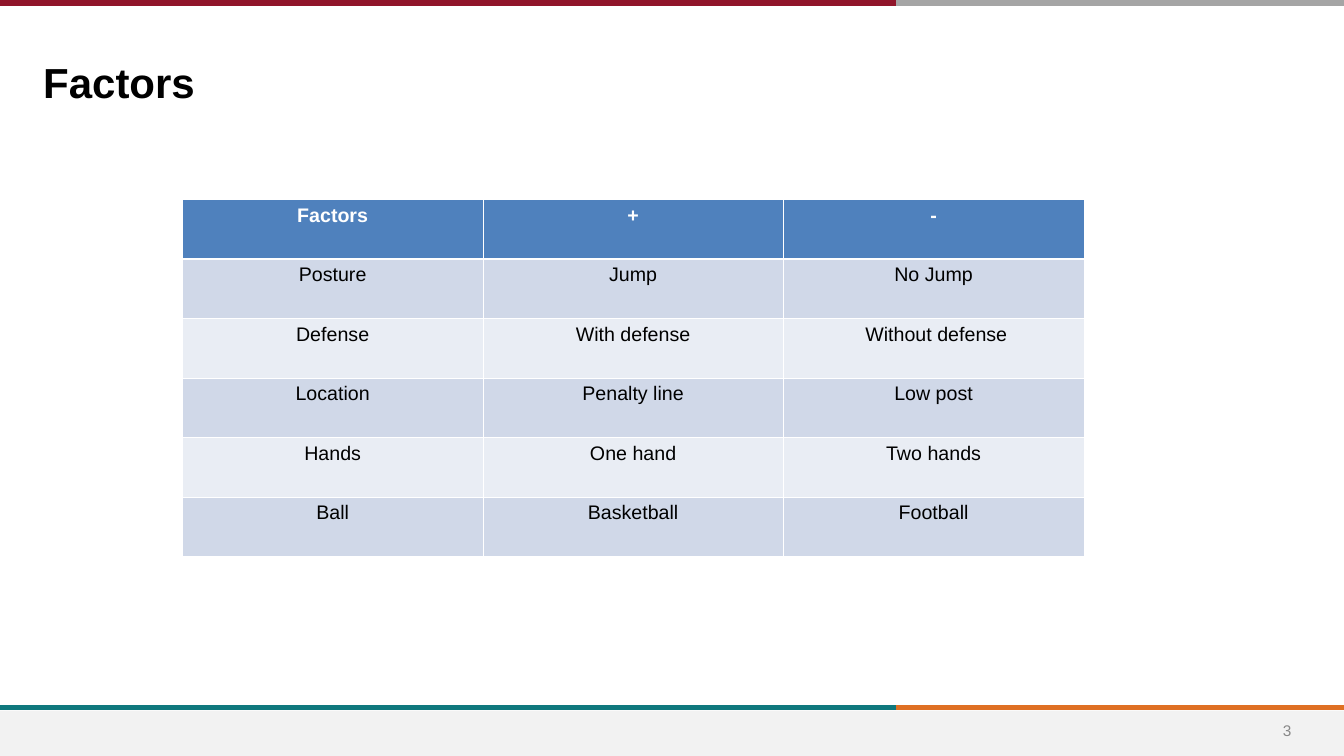
import pptx
import pptx.util
import pptx.dml.color
import pptx.enum.shapes
import pptx.enum.text
import pptx.oxml
import pptx.oxml.ns
from lxml import etree

Inches = pptx.util.Inches
Pt = pptx.util.Pt
RGBColor = pptx.dml.color.RGBColor
Align = pptx.enum.text.PP_ALIGN
Anchor = pptx.enum.text.MSO_ANCHOR
qn = pptx.oxml.ns.qn

WHITE = RGBColor(0xFF, 0xFF, 0xFF)
BLACK = RGBColor(0x00, 0x00, 0x00)
FOOTER_GRAY = RGBColor(0xF2, 0xF2, 0xF2)
NUMBER_GRAY = RGBColor(0x88, 0x88, 0x88)
RULE_GRAY = RGBColor(0xA5, 0xA5, 0xA5)
CRIMSON = RGBColor(0x90, 0x15, 0x2A)
TEAL = RGBColor(0x0F, 0x78, 0x7D)
ORANGE = RGBColor(0xDF, 0x70, 0x23)
HEADER_BLUE = RGBColor(0x4F, 0x81, 0xBD)
BAND_DARK = RGBColor(0xD0, 0xD8, 0xE8)
BAND_LIGHT = RGBColor(0xE9, 0xED, 0xF4)

WIDTH, HEIGHT, SPLIT = 13.33, 7.5, 8.89
FACTORS = [
    ("Factors", "+", "-"),
    ("Posture", "Jump", "No Jump"),
    ("Defense", "With defense", " Without defense"),
    ("Location", "Penalty line", "Low post"),
    ("Hands", "One hand", "Two hands"),
    ("Ball", "Basketball", "Football"),
]


class SlideBuilder:
    font_name = "Arial"
    thin, thick = 0.45, 1.47

    def __init__(self, slide):
        self.slide = slide

    def fill_text(self, frame, text, size, color, bold=False, align=Align.LEFT):
        frame.text = text
        para = frame.paragraphs[0]
        para.alignment = align
        font = para.runs[0].font
        font.name = self.font_name
        font.size = Pt(size)
        font.bold = bold
        font.color.rgb = color

    def panel(self, left, top, width, height, color):
        shape = self.slide.shapes.add_shape(
            pptx.enum.shapes.MSO_SHAPE.RECTANGLE,
            Inches(left), Inches(top), Inches(width), Inches(height))
        shape.shadow.inherit = False
        shape.fill.solid()
        shape.fill.fore_color.rgb = color
        shape.line.fill.background()

    def rule(self, start, end, y, color):
        line = self.slide.shapes.add_connector(
            pptx.enum.shapes.MSO_CONNECTOR.STRAIGHT,
            Inches(start), Inches(y), Inches(end), Inches(y))
        line.line.color.rgb = color
        line.line.width = Pt(4)
        etree.SubElement(line._element.spPr, qn("a:effectLst"))

    def text(self, left, top, width, height, text, size, color,
             bold=False, align=Align.LEFT, anchor=Anchor.TOP, inset=0.05):
        box = self.slide.shapes.add_textbox(
            Inches(left), Inches(top), Inches(width), Inches(height))
        frame = box.text_frame
        frame.word_wrap = True
        frame.vertical_anchor = anchor
        frame.margin_left = frame.margin_right = Inches(0.1)
        frame.margin_top = frame.margin_bottom = Inches(inset)
        self.fill_text(frame, text, size, color, bold, align)

    def border(self, side, width):
        line = etree.Element(qn("a:" + side), w=str(Pt(width)))
        fill = etree.SubElement(line, qn("a:solidFill"))
        etree.SubElement(fill, qn("a:srgbClr"), val=str(WHITE))
        return line

    def style_cell(self, cell, row):
        cell.fill.solid()
        if row == 0:
            cell.fill.fore_color.rgb = HEADER_BLUE
        else:
            cell.fill.fore_color.rgb = BAND_DARK if row % 2 else BAND_LIGHT
        widths = {
            "lnL": self.thin,
            "lnR": self.thin,
            "lnT": self.thick if row == 1 else self.thin,
            "lnB": self.thick if row == 0 else self.thin,
        }
        properties = cell._tc.get_or_add_tcPr()
        for position, (side, width) in enumerate(widths.items()):
            properties.insert(position, self.border(side, width))

    def table(self, left, top, column_width, row_height, rows):
        columns = len(rows[0])
        table = self.slide.shapes.add_table(
            len(rows), columns, Inches(left), Inches(top),
            Inches(column_width * columns),
            Inches(row_height * len(rows))).table
        for column in table.columns:
            column.width = Inches(column_width)
        for row, values in enumerate(rows):
            table.rows[row].height = Inches(row_height)
            for column, value in enumerate(values):
                cell = table.cell(row, column)
                header = row == 0
                self.fill_text(cell.text_frame, value, 14,
                               WHITE if header else BLACK, header, Align.CENTER)
                self.style_cell(cell, row)


def main():
    deck = pptx.Presentation()
    deck.slide_width = Inches(WIDTH)
    deck.slide_height = Inches(HEIGHT)
    page = SlideBuilder(deck.slides.add_slide(deck.slide_layouts[6]))

    page.panel(0, 7.05, WIDTH, 0.45, FOOTER_GRAY)
    for y, left_color, right_color in ((7.02, TEAL, ORANGE),
                                       (0.03, CRIMSON, RULE_GRAY)):
        page.rule(SPLIT, WIDTH, y, right_color)
        page.rule(0, SPLIT, y, left_color)

    page.text(12.42, 7.05, 0.69, 0.4, "3", 11, NUMBER_GRAY,
              align=Align.CENTER, anchor=Anchor.MIDDLE)
    page.text(0.33, 0.46, 10.65, 0.59, "Factors", 30, BLACK,
              bold=True, inset=0.1)
    page.table(1.81, 1.98, 2.98, 0.59, FACTORS)

    deck.save("out.pptx")


if __name__ == "__main__":
    main()
